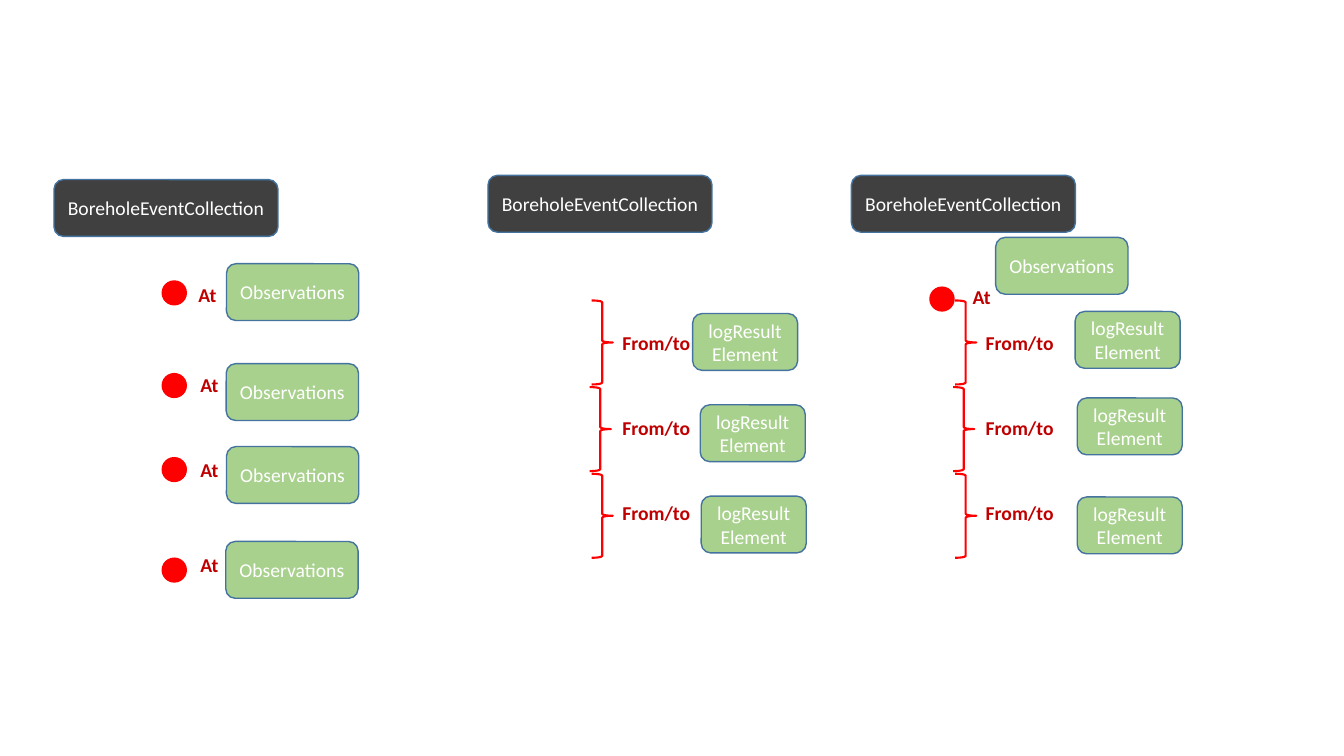
"""Builds a slide of three borehole event collections: by point, by interval, and by both."""
import pptx
import pptx.util
import pptx.dml.color
import pptx.enum.shapes
import pptx.enum.text

Pt = pptx.util.Pt
RGBColor = pptx.dml.color.RGBColor
SHAPE = pptx.enum.shapes.MSO_SHAPE
TEXT = pptx.enum.text

WHITE = RGBColor(0xFF, 0xFF, 0xFF)
CHARCOAL = RGBColor(0x40, 0x40, 0x40)
GREEN = RGBColor(0xA9, 0xD1, 0x8E)
BLUE = RGBColor(0x43, 0x73, 0x9E)
RED = RGBColor(0xFF, 0x00, 0x00)
DARK_RED = RGBColor(0xC0, 0x00, 0x00)

deck = pptx.Presentation()
deck.slide_width, deck.slide_height = Pt(960), Pt(540)
slide = deck.slides.add_slide(deck.slide_layouts[6])


def add_mark(shapes, kind, left, top, width, height, fill=None, line=None, weight=1):
    mark = shapes.add_shape(kind, Pt(left), Pt(top), Pt(width), Pt(height))
    mark.shadow.inherit = False
    if fill is None:
        mark.fill.background()
    else:
        mark.fill.solid()
        mark.fill.fore_color.rgb = fill
    if line is None:
        mark.line.fill.background()
    else:
        mark.line.color.rgb = line
        mark.line.width = Pt(weight)
    return mark


def write(holder, wording, color, bold, align):
    holder.text_frame.text = wording
    paragraph = holder.text_frame.paragraphs[0]
    paragraph.alignment = align
    paragraph.font.name = "Calibri"
    paragraph.font.size = Pt(14)
    paragraph.font.bold = bold
    paragraph.font.color.rgb = color


boxes = [("BoreholeEventCollection", left, top, 160, CHARCOAL)
         for left, top in [(38.6, 128.3), (348.6, 125.3), (608.2, 125.3)]]
boxes += [("Observations", left, top, 94.5, GREEN)
          for left, top in [(161.8, 188.4), (161.6, 259.8), (161.8, 319), (161.3, 386.8),
                            (711.2, 169.6)]]
boxes += [("logResultElement", left, top, 75, GREEN)
          for left, top in [(494.8, 224), (500.2, 289.2), (500.9, 354.4),
                            (768, 222.5), (769.5, 284.3), (769.5, 355)]]

point_labels = [(134.6, 198.7), (136, 262.8), (136, 323.3), (136, 391.7), (687.6, 200.2)]
labels = [("At", left, top, 27.4) for left, top in point_labels]

point_group = slide.shapes.add_group_shape()
for top in (200.2, 266.4, 326.4, 398.2):
    add_mark(point_group.shapes, SHAPE.OVAL, 115.4, top, 18.2, 18, RED)

interval_columns = (0, 259.6)
for shift in interval_columns:
    for row, nudge in enumerate((1.4, 0, 1.4)):
        add_mark(slide.shapes, SHAPE.RIGHT_BRACE, 421.2 + shift + nudge, 214.6 + 61.9 * row,
                 15.2, 60, line=RED, weight=1.5)
        labels.append(("From/to", 437.4 + shift, 232.6 + 60.8 * row, 63.4))

add_mark(slide.shapes, SHAPE.OVAL, 663.8, 204.6, 18.2, 18, RED)

for wording, left, top, width in labels:
    label = slide.shapes.add_textbox(Pt(left), Pt(top), Pt(width), Pt(24.2))
    label.text_frame.word_wrap = False
    label.text_frame.auto_size = TEXT.MSO_AUTO_SIZE.SHAPE_TO_FIT_TEXT
    write(label, wording, DARK_RED, True, TEXT.PP_ALIGN.LEFT)

for wording, left, top, width, fill in boxes:
    box = add_mark(slide.shapes, SHAPE.ROUNDED_RECTANGLE, left, top, width, 40.6, fill, BLUE)
    box.text_frame.word_wrap = True
    box.text_frame.vertical_anchor = TEXT.MSO_ANCHOR.MIDDLE
    write(box, wording, WHITE, False, TEXT.PP_ALIGN.CENTER)

deck.save("out.pptx")
